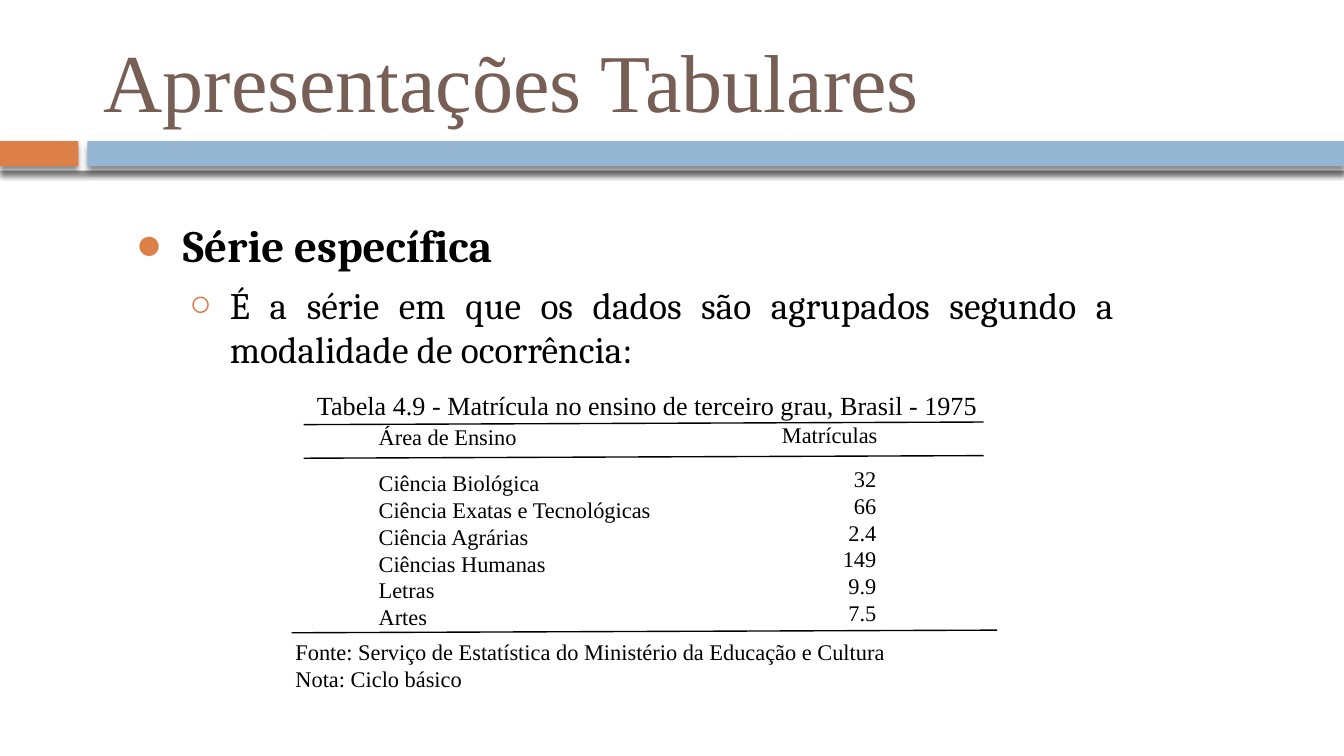
from lxml import etree
from pptx import Presentation
from pptx.dml.color import RGBColor
from pptx.enum import shapes, text
from pptx.oxml.ns import qn
from pptx.util import Pt

BLACK = RGBColor(0x00, 0x00, 0x00)
WHITE = RGBColor(0xFF, 0xFF, 0xFF)
ORANGE = RGBColor(0xDD, 0x80, 0x47)
BLUE = RGBColor(0x94, 0xB6, 0xD2)
BROWN = RGBColor(0x77, 0x5F, 0x55)
SERIF, BODY = "Times New Roman", "Cambria"

HEADING = "Apresentações Tabulares"
TOPIC = "Série específica"
DEFINITION = "É a série em que os dados são agrupados segundo a modalidade de ocorrência:"
CAPTION = "Tabela 4.9 - Matrícula no ensino de terceiro grau, Brasil - 1975"
COLUMNS = ("Área de Ensino", "Matrículas")
ENROLMENTS = [
    ("Ciência Biológica", "32"),
    ("Ciência Exatas e Tecnológicas", "66"),
    ("Ciência Agrárias", "2.4"),
    ("Ciências Humanas", "149"),
    ("Letras", "9.9"),
    ("Artes", "7.5"),
]
NOTES = [
    "Fonte: Serviço de Estatística do Ministério da Educação e Cultura",
    "Nota: Ciclo básico",
]
BANDS = [
    (0, 72.7, 720, 18.7, WHITE),
    (0, 75.6, 42, 13.4, ORANGE),
    (46.8, 75.6, 673.2, 13.4, BLUE),
]
RULES = [(162.7, 527, 227.5), (162.7, 527, 245.5), (156.2, 534.2, 339)]
RULE_RISE = 1.4
AREAS, COUNTS = zip(*ENROLMENTS)
TABLE_TEXTS = [
    ([CAPTION], (162.7, 201.6, 401.8, 25.2), dict(size=14)),
    ([COLUMNS[0]], (195.8, 221, 126, 11.5), {}),
    ([COLUMNS[1]], (411.8, 221, 92.2, 9.4), {}),
    (AREAS, (195.8, 244.1, 194.4, 90.7), {}),
    (COUNTS, (421.2, 241.9, 55.4, 81.4), dict(align=text.PP_ALIGN.RIGHT)),
    (NOTES, (151.2, 334.8, 378, 18), {}),
]


def write(paragraph, words, size=12, font=SERIF, color=BLACK, bold=False,
          align=text.PP_ALIGN.LEFT, before=0):
    paragraph.alignment = align
    paragraph.space_before = Pt(before)
    run = paragraph.add_run()
    run.text = words
    run.font.size, run.font.name, run.font.bold = Pt(size), font, bold
    run.font.color.rgb = color


def place(shape, left, top, width, height):
    shape.left, shape.top = Pt(left), Pt(top)
    shape.width, shape.height = Pt(width), Pt(height)


def set_frame(frame, side, edge, anchor=text.MSO_ANCHOR.TOP):
    frame.word_wrap = True
    frame.auto_size = text.MSO_AUTO_SIZE.NONE
    frame.vertical_anchor = anchor
    frame.margin_left = frame.margin_right = Pt(side)
    frame.margin_top = frame.margin_bottom = Pt(edge)


def add_bullet(paragraph, mark, left, hanging):
    props = paragraph._p.get_or_add_pPr()
    props.set("marL", str(Pt(left)))
    props.set("indent", str(-Pt(hanging)))
    tint = etree.SubElement(props, qn("a:buClr"))
    etree.SubElement(tint, qn("a:srgbClr"), val=str(ORANGE))
    etree.SubElement(props, qn("a:buChar"), char=mark)


def add_band(left, top, width, height, color):
    band = slide.shapes.add_shape(shapes.MSO_SHAPE.RECTANGLE,
                                  Pt(left), Pt(top), Pt(width), Pt(height))
    band.fill.solid()
    band.fill.fore_color.rgb = color
    band.line.fill.background()
    band.shadow.inherit = False
    effects = band._element.spPr.find(qn("a:effectLst"))
    shadow = etree.SubElement(effects, qn("a:outerShdw"), blurRad=str(Pt(3)),
                              dist=str(Pt(2.4)), dir="5400000", rotWithShape="0")
    tint = etree.SubElement(shadow, qn("a:srgbClr"), val=str(BLACK))
    etree.SubElement(tint, qn("a:alpha"), val="45000")
    return band


def add_rule(left, right, top):
    rule = slide.shapes.add_connector(shapes.MSO_CONNECTOR.STRAIGHT, Pt(left),
                                      Pt(top), Pt(right), Pt(top - RULE_RISE))
    rule.line.color.rgb = BLACK
    rule.line.width = Pt(0.75)
    etree.SubElement(rule._element.spPr, qn("a:effectLst"))


deck = Presentation()
deck.slide_width, deck.slide_height = Pt(720), Pt(405)
slide = deck.slides.add_slide(deck.slide_layouts[1])
title, body = slide.placeholders

for position, band in enumerate(BANDS):
    slide.shapes._spTree.insert(2 + position, add_band(*band)._element)

place(title, 48.2, 13.7, 642.2, 58.3)
set_frame(title.text_frame, 7.2, 3.6, text.MSO_ANCHOR.MIDDLE)
write(title.text_frame.paragraphs[0], HEADING, size=44, color=BROWN)

place(body, 65.5, 113, 538.6, 161.3)
set_frame(body.text_frame, 7.2, 3.6)
topic = body.text_frame.paragraphs[0]
add_bullet(topic, "●", 25.2, 25.2)
write(topic, TOPIC, size=24, font=BODY, bold=True)
definition = body.text_frame.add_paragraph()
definition.level = 1
add_bullet(definition, "○", 50.4, 21.6)
write(definition, DEFINITION, size=20, font=BODY,
      align=text.PP_ALIGN.JUSTIFY, before=5.5)

for lines, area, style in TABLE_TEXTS:
    box = slide.shapes.add_textbox(*map(Pt, area))
    set_frame(box.text_frame, 7.2, 7.2)
    for row, words in enumerate(lines):
        paragraph = box.text_frame.add_paragraph() if row else box.text_frame.paragraphs[0]
        write(paragraph, words, **style)

for rule in RULES:
    add_rule(*rule)

deck.save("out.pptx")
